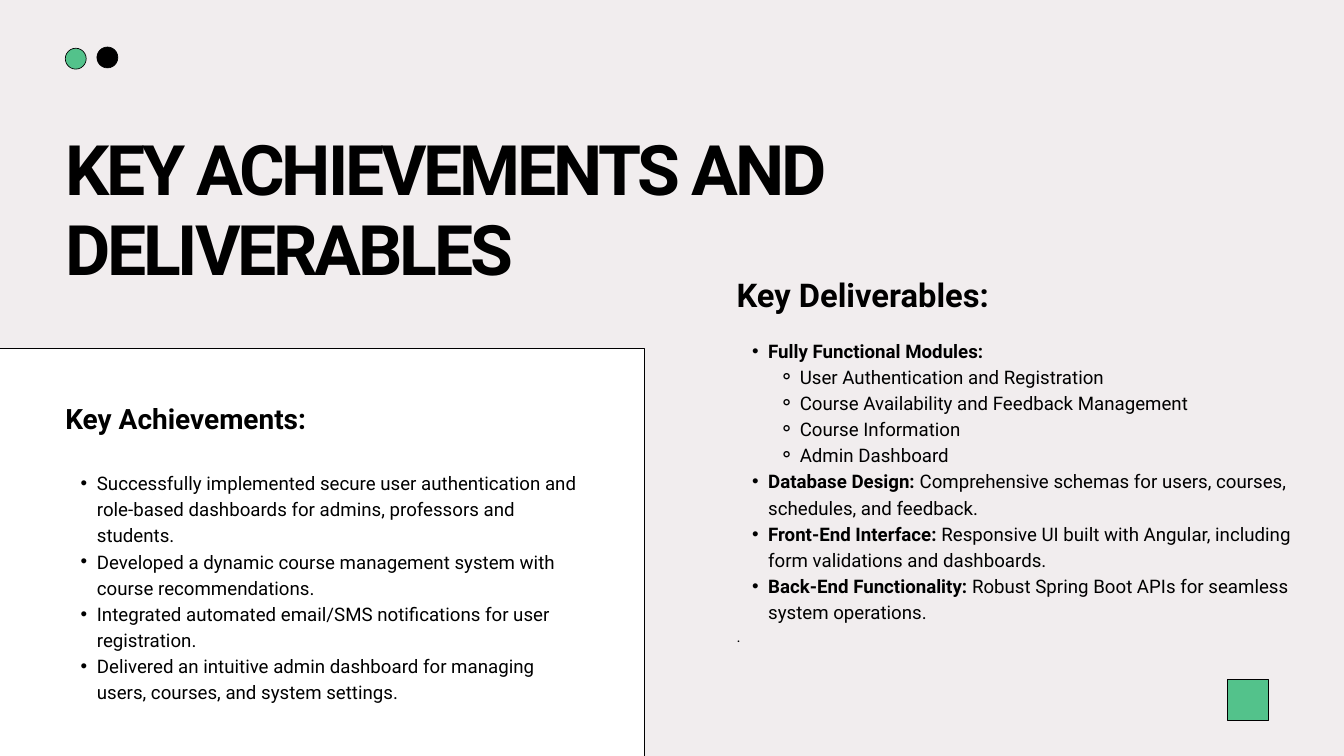
from lxml.etree import SubElement
from pptx import Presentation
from pptx.dml.color import RGBColor
from pptx.enum.shapes import MSO_SHAPE as Shape
from pptx.enum.text import MSO_AUTO_SIZE as AutoSize
from pptx.oxml.ns import qn
from pptx.util import Pt

COLORS = {"ground": "F1EDEE", "panel": "FFFFFF", "accent": "53C28B", "ink": "000000"}
FONT = "Roboto"
BULLETS = {1: ("•", 33.84, -17.28), 2: ("⚬", 67.68, -22.32)}
LEFT = 70

ACHIEVEMENTS = [
    (1, "", "Successfully implemented secure user authentication and role-based "
            "dashboards for admins, professors and students."),
    (1, "", "Developed a dynamic course management system with course recommendations."),
    (1, "", "Integrated automated email/SMS notifications for user registration."),
    (1, "", "Delivered an intuitive admin dashboard for managing users, courses, "
            "and system settings."),
]
DELIVERABLES = [
    (1, "Fully Functional Modules:", ""),
    (2, "", "User Authentication and Registration"),
    (2, "", "Course Availability and Feedback Management"),
    (2, "", "Course Information"),
    (2, "", "Admin Dashboard"),
    (1, "Database Design: ",
     "Comprehensive schemas for users, courses, schedules, and feedback."),
    (1, "Front-End Interface:",
     " Responsive UI built with Angular, including form validations and dashboards."),
    (1, "Back-End Functionality:",
     " Robust Spring Boot APIs for seamless system operations."),
]


def color(name):
    """Return the named palette colour."""
    return RGBColor.from_string(COLORS[name])


def add_outlined(slide, kind, box, fill):
    """Draw a filled shape with a thin ink outline."""
    shape = slide.shapes.add_shape(kind, *map(Pt, box))
    shape.shadow.inherit = False
    shape.fill.solid()
    shape.fill.fore_color.rgb = color(fill)
    shape.line.color.rgb = color("ink")
    shape.line.width = Pt(0.75)


def add_frame(slide, box):
    """Add a wrapping text box without insets and return its frame."""
    frame = slide.shapes.add_textbox(*map(Pt, box)).text_frame
    settings = {"word_wrap": True, "auto_size": AutoSize.SHAPE_TO_FIT_TEXT,
                "margin_left": 0, "margin_top": 0, "margin_right": 0, "margin_bottom": 0}
    for name, value in settings.items():
        setattr(frame, name, value)
    return frame


def add_run(paragraph, text, size, bold):
    """Append a formatted run and return it."""
    run = paragraph.add_run()
    run.text = text
    for name, value in {"name": FONT, "size": Pt(size), "bold": bold}.items():
        setattr(run.font, name, value)
    run.font.color.rgb = color("ink")
    return run


def add_item(frame, level, lead, detail):
    """Append a bulleted item with an optional bold lead."""
    item = frame.add_paragraph()
    item.level = level
    mark, margin, indent = BULLETS[level]
    properties = item._p.get_or_add_pPr()
    properties.set("marL", str(Pt(margin)))
    properties.set("indent", str(Pt(indent)))
    SubElement(properties, qn("a:buFont"), typeface="Arial")
    SubElement(properties, qn("a:buChar"), char=mark)
    item.line_spacing = Pt(28)
    for text, bold in ((lead, True), (detail, False)):
        if text:
            add_run(item, text, 20, bold)


def add_list(slide, box, heading, size, gap, items):
    """Place a bold heading and its bulleted list; return the frame."""
    frame = add_frame(slide, box)
    header = frame.paragraphs[0]
    header.line_spacing = Pt(size * 1.4)
    header.space_after = Pt(gap)
    add_run(header, heading, size, True)
    for item in items:
        add_item(frame, *item)
    return frame


def add_title(slide, box):
    """Place the tightly spaced slide title."""
    title = add_frame(slide, box).paragraphs[0]
    title.line_spacing = Pt(85.1)
    run = add_run(title, "KEY ACHIEVEMENTS AND DELIVERABLES", 74.6, True)
    run._r.get_or_add_rPr().set("spc", "-340")


def add_dots(slide, left, top, size):
    """Place the accent dot and the slightly higher ink dot."""
    add_outlined(slide, Shape.OVAL, (left, top + 1.3, size, size), "accent")
    add_outlined(slide, Shape.OVAL, (left + 33.9, top, size, size), "ink")


def add_achievements(slide, left, top, width, height):
    """Place the white panel with the achievements list."""
    add_outlined(slide, Shape.RECTANGLE, (left, top, width, height), "panel")
    add_list(slide, (LEFT, top + 51, 557.3, 347), "Key Achievements:", 30, 35, ACHIEVEMENTS)


def add_deliverables(slide, left, top, width, height):
    """Place the deliverables list and its closing full stop."""
    frame = add_list(slide, (left, top, width, height), "Key Deliverables:", 35, 23.4,
                     DELIVERABLES)
    closing = frame.add_paragraph()
    closing.line_spacing = Pt(23.4)
    add_run(closing, ".", 16.7, False)


def main():
    """Build and save the slide."""
    deck = Presentation()
    deck.slide_width, deck.slide_height = Pt(1440), Pt(810)
    slide = deck.slides.add_slide(deck.slide_layouts[6])
    slide.background.fill.solid()
    slide.background.fill.fore_color.rgb = color("ground")
    add_achievements(slide, -154.8, 373.6, 845.6, 454.4)
    add_outlined(slide, Shape.RECTANGLE, (1315.2, 728, 44, 44), "accent")
    add_deliverables(slide, 789.2, 287.4, 610, 400.4)
    add_title(slide, (LEFT, 139.7, 1114.6, 170.6))
    add_dots(slide, LEFT, 50.4, 22.4)
    deck.save("out.pptx")


if __name__ == "__main__":
    main()
